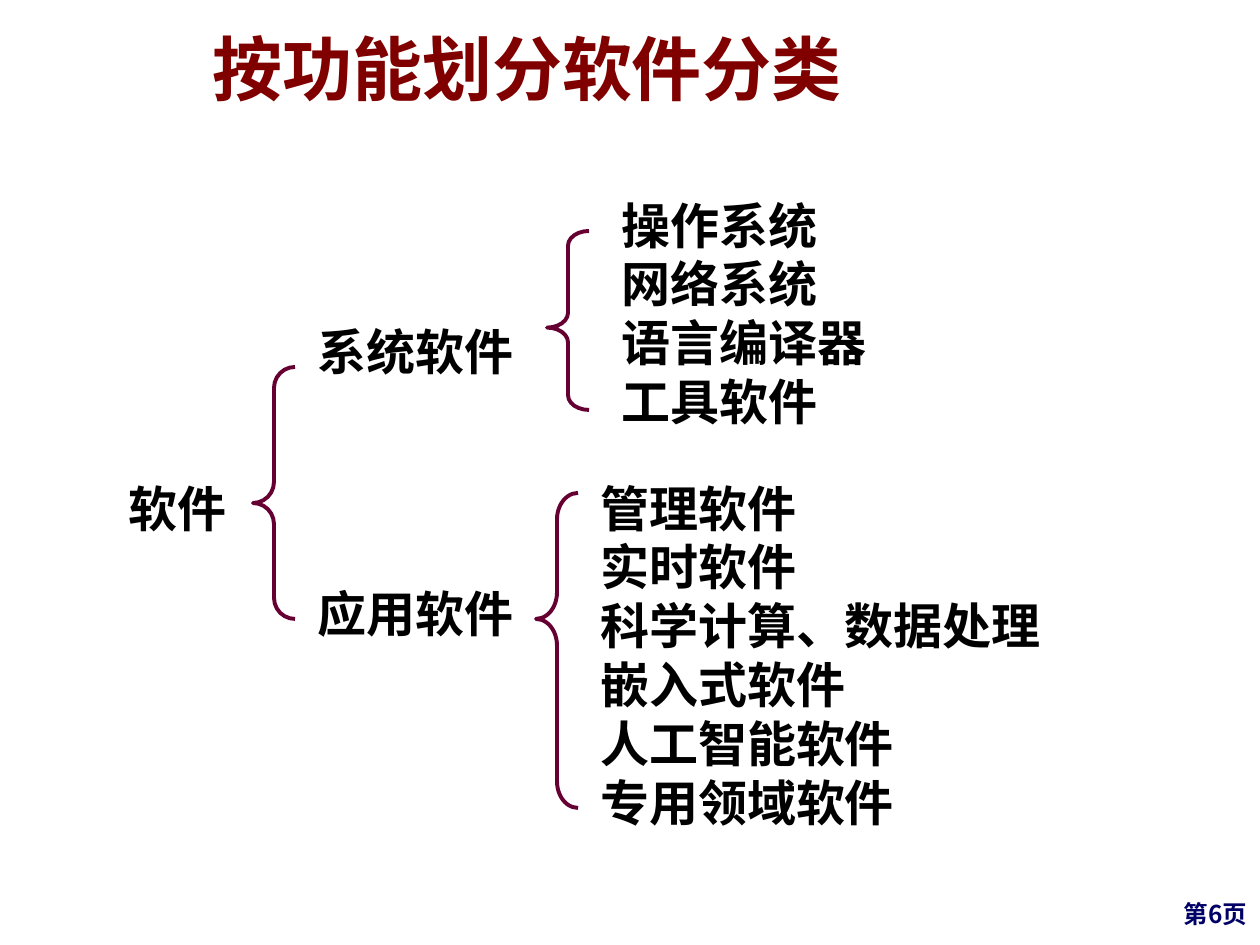
from dataclasses import dataclass

from pptx import Presentation
from pptx.dml.color import RGBColor
from pptx.enum.shapes import MSO_SHAPE
from pptx.enum.text import MSO_ANCHOR, MSO_AUTO_SIZE, PP_ALIGN
from pptx.oxml.ns import qn
from pptx.util import Emu, Pt
from lxml.etree import SubElement

INK = {"title": "800000", "body": "000000", "brace": "660033", "page": "000066"}
SANS, SERIF = "Noto Sans CJK SC", "Times New Roman"
LEAD = 1.2  # line pitch as a multiple of the text size


@dataclass
class Label:
    """One node of the tree, or a list of leaves, one to a line."""
    left: int
    top: int
    wide: int
    lines: list[str]


@dataclass
class Brace:
    left: int
    top: int
    high: int
    curve: float
    tip: float


def px(count: int) -> Emu:
    return Emu(round(count * 914400 / 126))


def hue(name: str) -> RGBColor:
    return RGBColor.from_string(INK[name])


def add_text(slide, lines: list[str], box: tuple[int, int, int, int], *,
             size: int, ink: str, font: str = SANS,
             anchor=MSO_ANCHOR.BOTTOM, align=PP_ALIGN.LEFT) -> None:
    frame = slide.shapes.add_textbox(*map(px, box)).text_frame
    frame.word_wrap = True
    frame.auto_size = MSO_AUTO_SIZE.NONE
    frame.vertical_anchor = anchor
    for num, line in enumerate(lines):
        para = frame.add_paragraph() if num else frame.paragraphs[0]
        para.alignment = align
        para.line_spacing = Pt(size * LEAD)
        run = para.add_run()
        run.text = line
        run.font.name, run.font.size, run.font.bold = font, Pt(size), True
        run.font.color.rgb = hue(ink)
        # East Asian typeface
        SubElement(run.font._element, qn("a:ea")).set("typeface", SANS)


def add_label(slide, label: Label) -> None:
    high = 13 + 59 * len(label.lines)
    add_text(slide, label.lines, (label.left, label.top, label.wide, high),
             size=28, ink="body", font=SERIF, anchor=MSO_ANCHOR.TOP)


def add_brace(slide, brace: Brace) -> None:
    shape = slide.shapes.add_shape(
        MSO_SHAPE.LEFT_BRACE, px(brace.left), px(brace.top), px(42), px(brace.high))
    shape.adjustments[0], shape.adjustments[1] = brace.curve, brace.tip
    shape.shadow.inherit = False
    shape.fill.background()
    shape.line.color.rgb = hue("brace")
    shape.line.width = Pt(2.25)


LABELS = [
    Label(116, 472, 128, ["软件"]),
    Label(305, 315, 226, ["系统软件"]),
    Label(305, 577, 226, ["应用软件"]),
    Label(609, 189, 275, ["操作系统", "网络系统", "语言编译器", "工具软件"]),
    Label(588, 472, 472, ["管理软件", "实时软件", "科学计算、数据处理",
                          "嵌入式软件", "人工智能软件", "专用领域软件"]),
]
BRACES = [
    Brace(253, 367, 252, 0.5, 0.54),
    Brace(547, 231, 179, 0.35, 0.54),
    Brace(536, 493, 315, 0.63, 0.4),
]


def main() -> None:
    deck = Presentation()
    deck.slide_width, deck.slide_height = px(1260), px(945)
    slide = deck.slides.add_slide(deck.slide_layouts[6])

    # Page number and title
    add_text(slide, ["第6页"], (998, 882, 262, 53),
             size=14, ink="page", align=PP_ALIGN.RIGHT)
    add_text(slide, ["按功能划分软件分类"], (200, 0, 924, 116), size=40, ink="title")

    # Tree of software kinds
    for label in LABELS:
        add_label(slide, label)
    for brace in BRACES:
        add_brace(slide, brace)

    deck.save("out.pptx")


if __name__ == "__main__":
    main()
